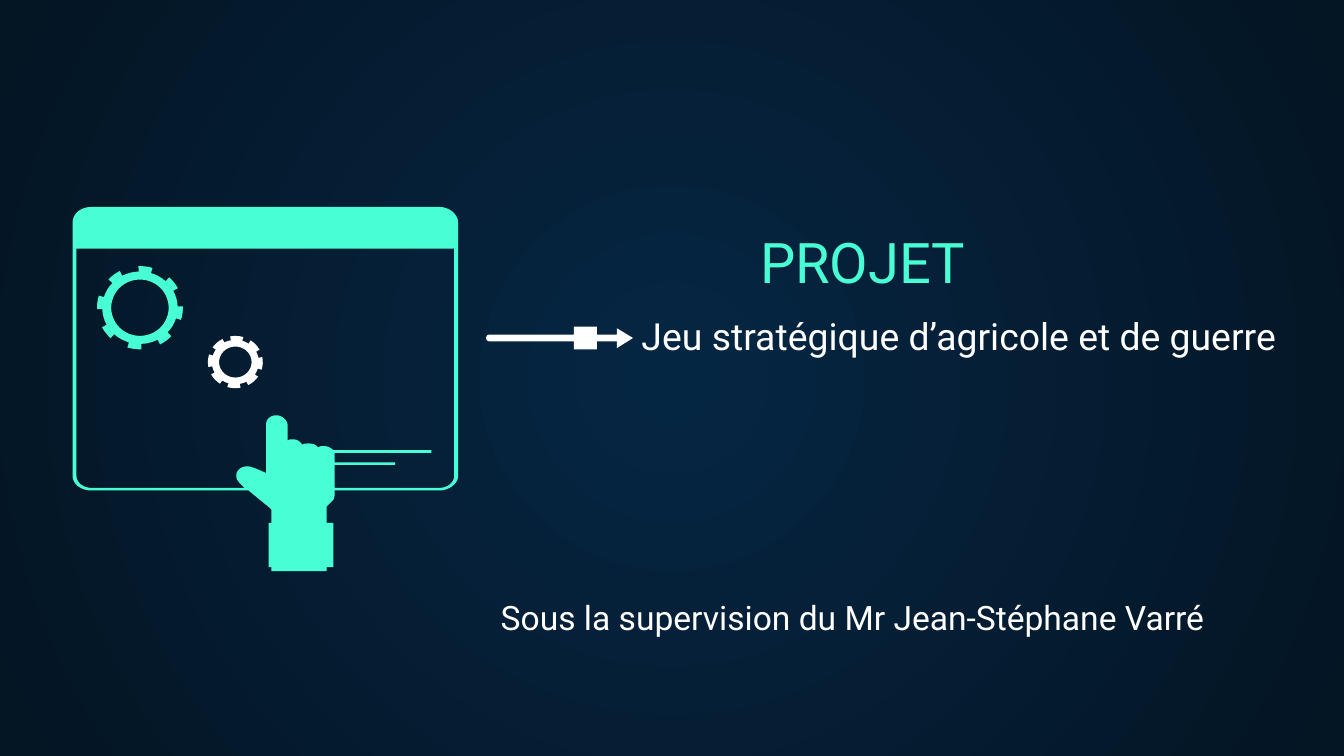
import math
from dataclasses import dataclass

import pptx
import pptx.dml.color
import pptx.enum.text
import pptx.oxml
import pptx.oxml.ns
import pptx.util

Pt = pptx.util.Pt
ALIGN = pptx.enum.text.PP_ALIGN
ANCHOR = pptx.enum.text.MSO_ANCHOR


@dataclass(frozen=True)
class Theme:
    accent: str = "48FFD5"
    white: str = "FFFFFF"
    glow: str = "052643"
    night: str = "041523"
    font: str = "Roboto"
    title_size: int = 30
    subtitle_size: int = 20
    credit_size: int = 18


THEME = Theme()

# Outlines in points: a pair is a corner, six numbers are a Bézier curve.
WINDOW_AND_HAND = [
    (49, 110.9), (43.2, 110.9, 38.9, 114.5, 38.9, 119.5),
    (38.9, 254.9), (38.9, 259.2, 43.2, 262.8, 49, 262.8),
    (133.2, 262.8), (144.7, 272.2), (145.4, 272.9), (145.4, 280.1),
    (144, 280.1), (144, 303.8), (145.4, 303.8), (145.4, 306),
    (175, 306), (175, 303.8), (178.6, 303.8), (178.6, 280.1),
    (175, 280.1), (175, 271.4), (178.6, 267.8),
    (179.3, 266.4, 179.3, 265.7, 179.3, 264.2), (179.3, 262.8),
    (235.4, 262.8), (240.5, 262.8, 245.5, 259.2, 245.5, 254.9),
    (245.5, 119.5), (245.5, 114.5, 240.5, 110.9, 235.4, 110.9),
]
SCREEN_AROUND_HAND = [
    (243.4, 133.2), (243.4, 254.9),
    (243.4, 258.5, 239.8, 261.4, 235.4, 261.4),
    (179.3, 261.4), (179.3, 249.1), (211.7, 249.1), (211.7, 247.7),
    (179.3, 247.7), (179.3, 242.6), (231.1, 242.6), (231.1, 241.2),
    (178.6, 241.2), (177.1, 239.8, 175.7, 239, 173.5, 239),
    (172.1, 239, 171.4, 239, 170.6, 239.8),
    (169.2, 238.3, 167.8, 237.6, 165.6, 237.6),
    (164.2, 237.6, 162.7, 237.6, 162, 238.3),
    (160.6, 236.2, 159.1, 235.4, 157, 235.4),
    (155.5, 235.4, 154.8, 235.4, 154.1, 236.2),
    (154.1, 227.5), (154.1, 225.4, 151.2, 222.5, 148.3, 222.5),
    (144.7, 222.5, 142.6, 224.6, 142.6, 227.5),
    (142.6, 253.4), (136.1, 250.6),
    (135.4, 250.6, 133.9, 249.8, 132.5, 249.8),
    (127.4, 249.8, 124.6, 254.9, 128.2, 258.5),
    (131, 261.4), (49, 261.4), (44.6, 261.4, 41, 258.5, 41, 254.9),
    (41, 133.2),
]
ARROW = [
    (307.4, 175), (307.4, 179.3), (262.1, 179.3),
    (259.9, 179.3, 259.9, 182.9, 262.1, 182.9),
    (307.4, 182.9), (307.4, 187.2), (319.7, 187.2), (319.7, 182.9),
    (330.5, 182.9), (330.5, 186.5), (339.1, 181.1), (330.5, 175.9),
    (330.5, 179.3), (319.7, 179.3), (319.7, 175),
]


def flatten(outline, steps=8):
    """Turn corners and Bézier curves into a list of points."""
    points = []
    for part in outline:
        if len(part) == 2:
            points.append(part)
            continue
        controls = [points[-1], part[:2], part[2:4], part[4:]]
        for step in range(1, steps + 1):
            t = step / steps
            weights = [math.comb(3, i) * t**i * (1 - t)**(3 - i) for i in range(4)]
            points.append(tuple(
                sum(w * c[axis] for w, c in zip(weights, controls)) for axis in (0, 1)))
    return points


def arc(center, radii, start, end, steps):
    angles = [math.radians(start + (end - start) * i / steps) for i in range(steps + 1)]
    return [(center[0] + radii[0] * math.cos(a), center[1] - radii[1] * math.sin(a))
            for a in angles]


def add_outline(slide, contours, color):
    """Draw closed contours as one filled shape; inner contours become holes."""
    (first, *rest) = [[(Pt(x), Pt(y)) for x, y in contour] for contour in contours]
    builder = slide.shapes.build_freeform(*first[0])
    builder.add_line_segments(first[1:])
    for contour in rest:
        builder.move_to(*contour[0])
        builder.add_line_segments(contour[1:])
    shape = builder.convert_to_shape()
    shape.shadow.inherit = False
    shape.fill.solid()
    shape.fill.fore_color.rgb = pptx.dml.color.RGBColor.from_string(color)
    shape.line.fill.background()


def add_gear(slide, center, tip, root, hole, tooth_width, color, teeth=8, first_tooth=73):
    pitch = 360 / teeth
    rim = []
    for tooth in range(teeth):
        start = first_tooth + tooth * pitch
        rim += arc(center, tip, start, start + tooth_width, 4)
        rim += arc(center, root, start + tooth_width, start + pitch, 4)
    add_outline(slide, [rim, arc(center, hole, 0, 360, 48)], color)


def add_text(slide, text, box, size, color, align, anchor=ANCHOR.TOP):
    frame = slide.shapes.add_textbox(*map(Pt, box)).text_frame
    frame_format = {"word_wrap": True, "vertical_anchor": anchor}
    frame_format |= {f"margin_{side}": Pt(7.2) for side in ("left", "top", "right", "bottom")}
    paragraph = frame.paragraphs[0]
    run = paragraph.add_run()
    formats = [
        (frame, frame_format),
        (paragraph, {"alignment": align}),
        (run, {"text": text}),
        (run.font, {"name": THEME.font, "size": Pt(size)}),
        (run.font.color, {"rgb": pptx.dml.color.RGBColor.from_string(color)}),
    ]
    for target, values in formats:
        for name, value in values.items():
            setattr(target, name, value)


def set_radial_background(slide, inner, outer):
    slide.background.fill.gradient()
    gradient = next(slide.element.iter(pptx.oxml.ns.qn("a:gradFill")))
    radial = pptx.oxml.parse_xml(
        f'<a:gradFill {pptx.oxml.ns.nsdecls("a")} rotWithShape="1"><a:gsLst>'
        f'<a:gs pos="0"><a:srgbClr val="{inner}"/></a:gs>'
        f'<a:gs pos="100000"><a:srgbClr val="{outer}"/></a:gs></a:gsLst>'
        '<a:path path="circle"><a:fillToRect l="50000" t="50000" r="50000" b="50000"/>'
        '</a:path></a:gradFill>')
    gradient.getparent().replace(gradient, radial)


def main():
    deck = pptx.Presentation()
    deck.slide_width, deck.slide_height = Pt(720), Pt(405)
    slide = deck.slides.add_slide(deck.slide_layouts[6])
    set_radial_background(slide, THEME.glow, THEME.night)

    add_text(slide, "PROJET", (339, 117.4, 246.2, 47.5),
             THEME.title_size, THEME.accent, ALIGN.CENTER, ANCHOR.BOTTOM)
    add_text(slide, "Jeu stratégique d’agricole et de guerre", (327.6, 160.6, 363.4, 47.5),
             THEME.subtitle_size, THEME.white, ALIGN.RIGHT)

    add_outline(slide, [flatten(WINDOW_AND_HAND), flatten(SCREEN_AROUND_HAND)], THEME.accent)
    add_gear(slide, (75, 164.9), tip=(23, 22.3), root=(20.2, 19.4), hole=(15.4, 15.1),
             tooth_width=19, color=THEME.accent)
    add_gear(slide, (126.1, 194), tip=(14.7, 14), root=(12.6, 11.9), hole=(8.7, 8.3),
             tooth_width=28, color=THEME.white)
    add_outline(slide, [flatten(ARROW)], THEME.white)

    add_text(slide, "Sous la supervision du Mr Jean-Stéphane Varré", (221.8, 312.5, 430.6, 37.4),
             THEME.credit_size, THEME.white, ALIGN.RIGHT)
    deck.save("out.pptx")


if __name__ == "__main__":
    main()
